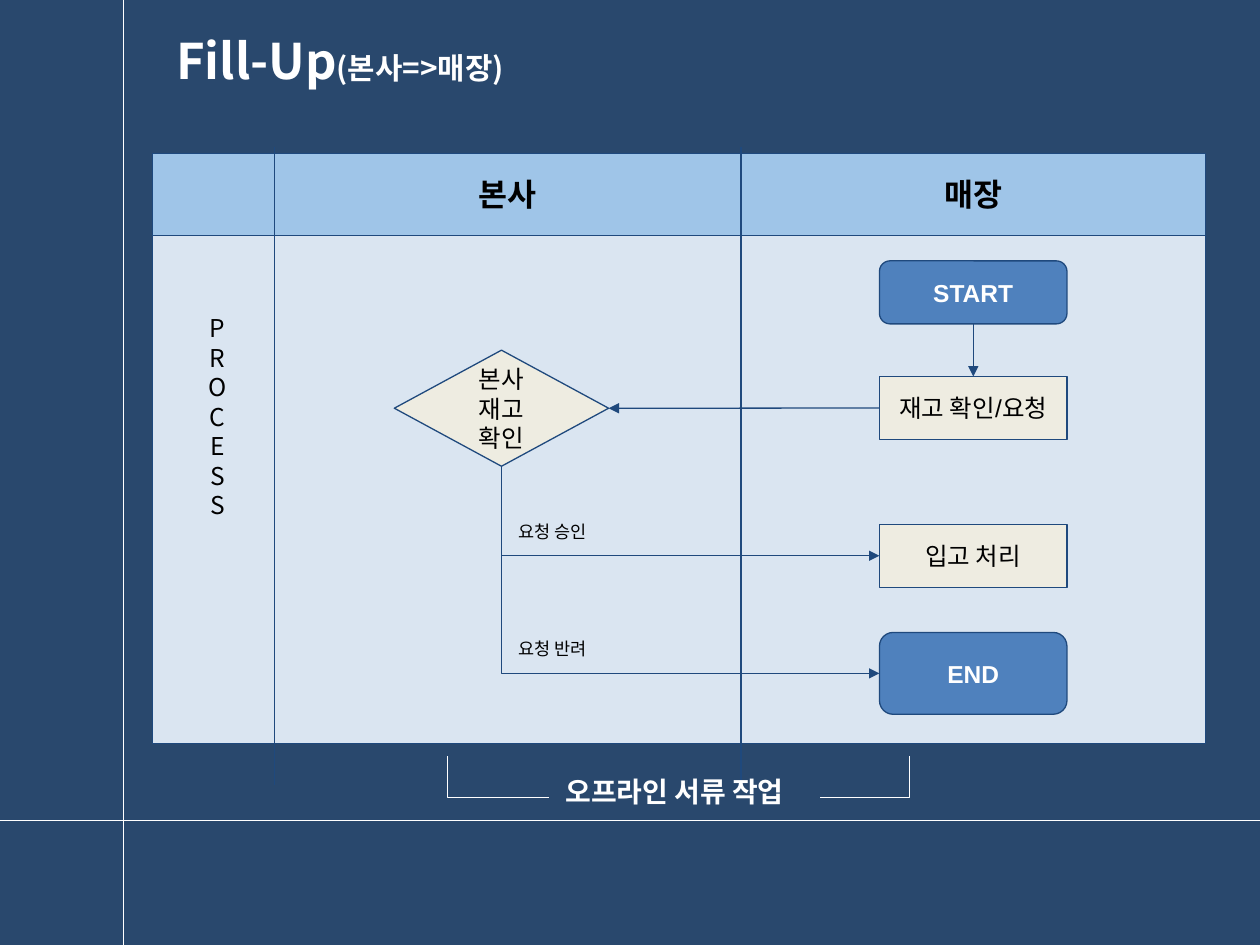
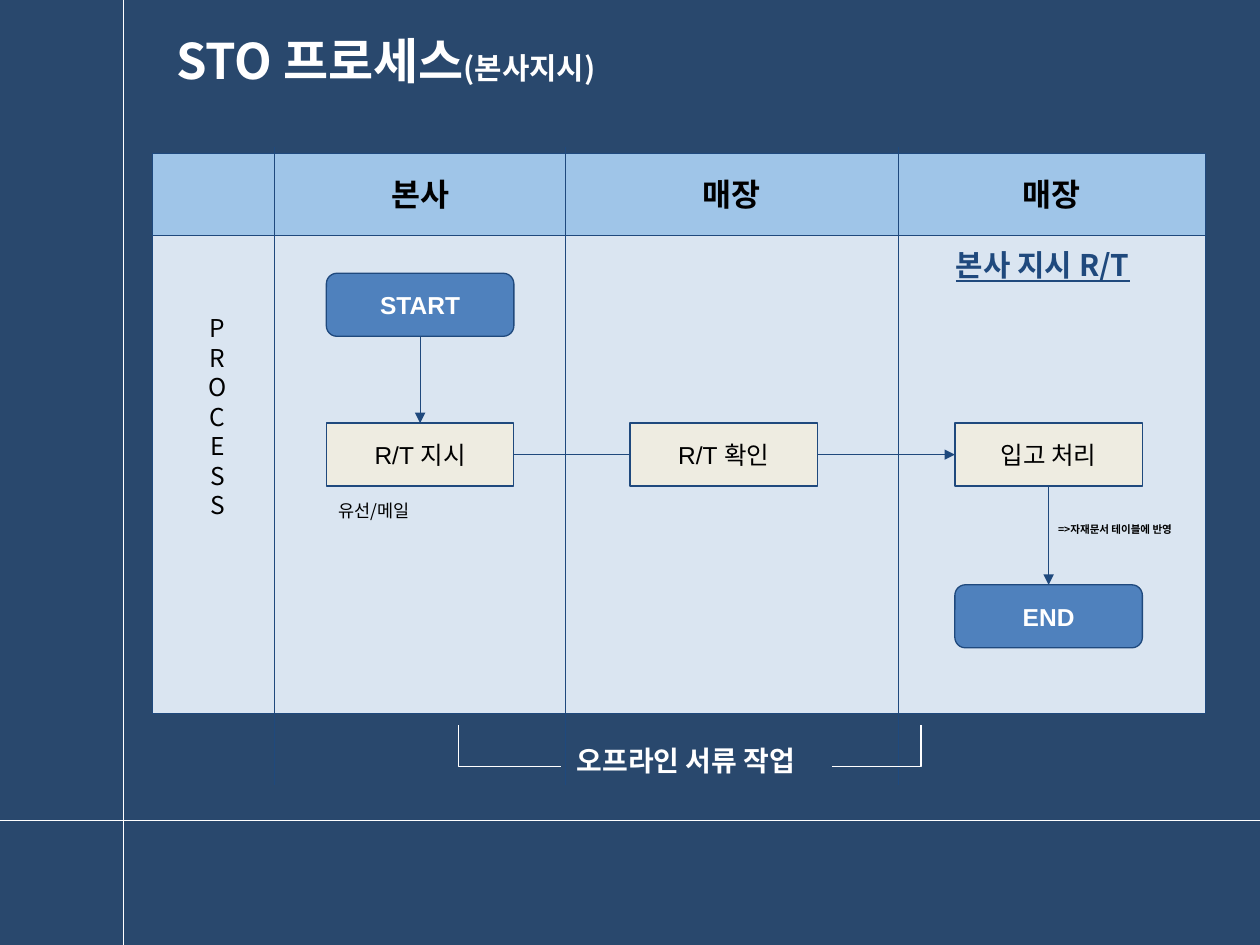
from itertools import pairwise

from lxml.etree import SubElement
from pptx import Presentation
from pptx.dml.color import RGBColor
from pptx.enum.shapes import MSO_CONNECTOR, MSO_SHAPE
from pptx.enum.text import MSO_ANCHOR, MSO_AUTO_SIZE, PP_ALIGN
from pptx.oxml.ns import qn
from pptx.util import Cm, Pt

NAVY = RGBColor(0x29, 0x48, 0x6D)
INK_BLUE = RGBColor(0x1F, 0x49, 0x7D)
PANEL = RGBColor(0xDA, 0xE5, 0xF1)
HEADER = RGBColor(0x9F, 0xC5, 0xE8)
TERMINAL = RGBColor(0x4F, 0x81, 0xBD)
STEP = RGBColor(0xEE, 0xEC, 0xE1)
WHITE = RGBColor(0xFF, 0xFF, 0xFF)
BLACK = RGBColor(0, 0, 0)

KOREAN = "Noto Sans CJK KR"
LATIN = "Arial"
SLIDE_W, SLIDE_H = 25.4, 19.05
PANEL_X, PANEL_Y, PANEL_W = 3.07, 3.1, 21.23
HEADER_H = 1.65
NODE_W, NODE_H = 3.78, 1.27
TOP, LEFT, BOTTOM, RIGHT = range(4)


def style_paragraph(p, size, color, bold=False, name=KOREAN, align=PP_ALIGN.LEFT):
    p.alignment = align
    p.line_spacing = Pt(round(size * 1.2, 1))
    font = p.font
    font.size, font.bold, font.name = Pt(size), bold, name
    font.color.rgb = color
    SubElement(p._p.pPr.find(qn("a:defRPr")), qn("a:ea"), typeface=KOREAN)


def write(tf, lines, size, color, margin=0.25, **style):
    tf.margin_left = tf.margin_right = Cm(0.25)
    tf.margin_top = tf.margin_bottom = Cm(margin)
    tf.auto_size = MSO_AUTO_SIZE.NONE
    tf.text = "\n".join(lines)
    for p in tf.paragraphs:
        style_paragraph(p, size, color, **style)


def add_text(slide, box, lines, size, color=BLACK, **style):
    sp = slide.shapes.add_textbox(*map(Cm, box))
    sp.text_frame.word_wrap = True
    write(sp.text_frame, lines, size, color, **style)
    return sp


def add_box(slide, kind, box, fill):
    sp = slide.shapes.add_shape(kind, *map(Cm, box))
    sp.shadow.inherit = False
    sp.fill.solid()
    sp.fill.fore_color.rgb = fill
    sp.line.color.rgb = INK_BLUE
    sp.line.width = Pt(0.75)
    return sp


def add_node(slide, kind, box, fill, lines, color=BLACK, bold=False):
    sp = add_box(slide, kind, box, fill)
    tf = sp.text_frame
    tf.word_wrap = False
    tf.vertical_anchor = MSO_ANCHOR.MIDDLE
    write(tf, lines, 14, color, bold=bold, name=LATIN, align=PP_ALIGN.CENTER)
    return sp


def add_terminal(slide, x, y, label, height=NODE_H):
    return add_node(slide, MSO_SHAPE.ROUNDED_RECTANGLE, (x, y, NODE_W, height),
                    TERMINAL, [label], WHITE, True)


def add_step(slide, x, y, label):
    return add_node(slide, MSO_SHAPE.RECTANGLE, (x, y, NODE_W, NODE_H), STEP, [label])


def add_line(slide, x1, y1, x2, y2, color=INK_BLUE, kind=MSO_CONNECTOR.STRAIGHT):
    line = slide.shapes.add_connector(kind, *map(Cm, (x1, y1, x2, y2)))
    line.line.color.rgb = color
    line.line.width = Pt(0.75)
    SubElement(line._element.spPr, qn("a:effectLst"))
    return line


def add_arrowhead(line, end):
    ln = line.line._get_or_add_ln()
    SubElement(ln, qn(f"a:{end}"), type="triangle")


def link(slide, source, source_side, target, target_side, arrow=True):
    line = add_line(slide, 0, 0, 0, 0)
    line.begin_connect(source, source_side)
    line.end_connect(target, target_side)
    if arrow:
        add_arrowhead(line, "tailEnd")


def link_down_right(slide, source, target):
    line = add_line(slide, 0, 0, 0, 0, kind=MSO_CONNECTOR.ELBOW)
    line._element.spPr.find(qn("a:prstGeom")).set("prst", "bentConnector2")
    line.begin_connect(target, LEFT)
    line.end_connect(source, BOTTOM)
    add_arrowhead(line, "headEnd")


def add_title_slide(prs, title, note):
    slide = prs.slides.add_slide(prs.slide_layouts[5])
    add_line(slide, 0, 16.54, SLIDE_W, 16.54, WHITE)
    add_line(slide, 2.49, 0, 2.49, SLIDE_H, WHITE)
    sp = slide.shapes.title
    sp.left, sp.top, sp.width, sp.height = map(Cm, (3.3, 0.48, 17.04, 2.64))
    tf = sp.text_frame
    tf.vertical_anchor = MSO_ANCHOR.TOP
    write(tf, [title], 28, WHITE, margin=0.13, bold=True)
    r = tf.paragraphs[0].add_run()
    r.text = note
    r.font.size = Pt(17)
    return slide


def add_swimlanes(slide, x, y, height, dividers, names):
    add_box(slide, MSO_SHAPE.RECTANGLE, (x, y + 0.18, PANEL_W, height - 0.18), PANEL)
    add_box(slide, MSO_SHAPE.RECTANGLE, (x, y, PANEL_W, HEADER_H), HEADER)
    for divider in dividers:
        add_line(slide, x + divider, y - 0.13, x + divider, y + 12.72)
    for name, (left, right) in zip(names, pairwise([*dividers, PANEL_W])):
        add_text(slide, (x + left, y + 0.18, right - left, 1.27), [name], 18,
                 bold=True, align=PP_ALIGN.CENTER)
    add_text(slide, (x + 0.54, y + 2.97, 1.55, 4.7), "PROCESS", 14,
             align=PP_ALIGN.CENTER)


def add_bracket(slide, points):
    start, *rest = [(Cm(px), Cm(py)) for px, py in points]
    builder = slide.shapes.build_freeform(*start)
    builder.add_line_segments(rest, close=False)
    sp = builder.convert_to_shape()
    sp.shadow.inherit = False
    sp.fill.background()
    sp.line.color.rgb = WHITE
    sp.line.width = Pt(0.75)


def add_offline_caption(slide, x, y):
    right, base = x + 9.32, y + 0.84
    add_text(slide, (x + 2.13, y + 0.13, 5.69, 1.19), ["오프라인 서류 작업"], 16,
             WHITE, bold=True)
    add_bracket(slide, [(x + 2.05, base), (x, base), (x, y)])
    add_bracket(slide, [(right - 1.8, base), (right, base), (right, y)])


def add_fill_up_flow(slide, x, y):
    store_x = x + 14.66
    start = add_terminal(slide, store_x, y + 2.16, "START")
    request = add_step(slide, store_x, y + 4.49, "재고 확인/요청")
    receipt = add_step(slide, store_x, y + 7.47, "입고 처리")
    end = add_terminal(slide, store_x, y + 9.65, "END", 1.65)
    check = add_node(slide, MSO_SHAPE.DIAMOND, (x + 4.88, y + 3.96, 4.32, 2.34),
                     STEP, ["본사", "재고", "확인"])
    link(slide, start, BOTTOM, request, TOP)
    link(slide, request, LEFT, check, RIGHT)
    for target, label, label_y in ((receipt, "요청 승인", 7.16), (end, "요청 반려", 9.52)):
        link_down_right(slide, check, target)
        add_text(slide, (x + 7.14, y + label_y, 2.46, 0.94), [label], 10)


def add_transfer_flow(slide, x, y):
    office_x, sender_x, receiver_x = x + 3.51, x + 9.63, x + 16.18
    row_y = y + 5.43
    start = add_terminal(slide, office_x, y + 2.41, "START")
    order = add_step(slide, office_x, row_y, "R/T 지시")
    check = add_step(slide, sender_x, row_y, "R/T 확인")
    receipt = add_step(slide, receiver_x, row_y, "입고 처리")
    end = add_terminal(slide, receiver_x, y + 8.69, "END")
    link(slide, start, BOTTOM, order, TOP)
    link(slide, order, RIGHT, check, LEFT, arrow=False)
    link(slide, check, RIGHT, receipt, LEFT)
    link(slide, receipt, BOTTOM, end, TOP)
    heading = add_text(slide, (x + 15.95, y + 1.62, 4.62, 1.24), ["본사 지시 R/T"], 17,
                       INK_BLUE, bold=True)
    heading.text_frame.paragraphs[0].font.underline = True
    add_text(slide, (x + 18.01, y + 7.19, 4.3, 0.76), ["=>자재문서 테이블에 반영"], 6,
             bold=True)
    add_text(slide, (office_x, row_y + 1.3, 3, 0.94), ["유선/메일"], 10)


prs = Presentation()
prs.slide_width, prs.slide_height = Cm(SLIDE_W), Cm(SLIDE_H)
background = prs.slide_master.background.fill
background.solid()
background.fore_color.rgb = NAVY

slide = add_title_slide(prs, "Fill-Up", "(본사=>매장)")
add_swimlanes(slide, PANEL_X, PANEL_Y, 11.89, [2.47, 11.87], ["본사", "매장"])
add_fill_up_flow(slide, PANEL_X, PANEL_Y)
add_offline_caption(slide, 9.02, 15.24)

slide = add_title_slide(prs, "STO 프로세스", "(본사지시)")
add_swimlanes(slide, PANEL_X, PANEL_Y, 11.28, [2.47, 8.33, 15.04], ["본사", "매장", "매장"])
add_transfer_flow(slide, PANEL_X, PANEL_Y)
add_offline_caption(slide, 9.25, 14.61)

prs.save("out.pptx")
